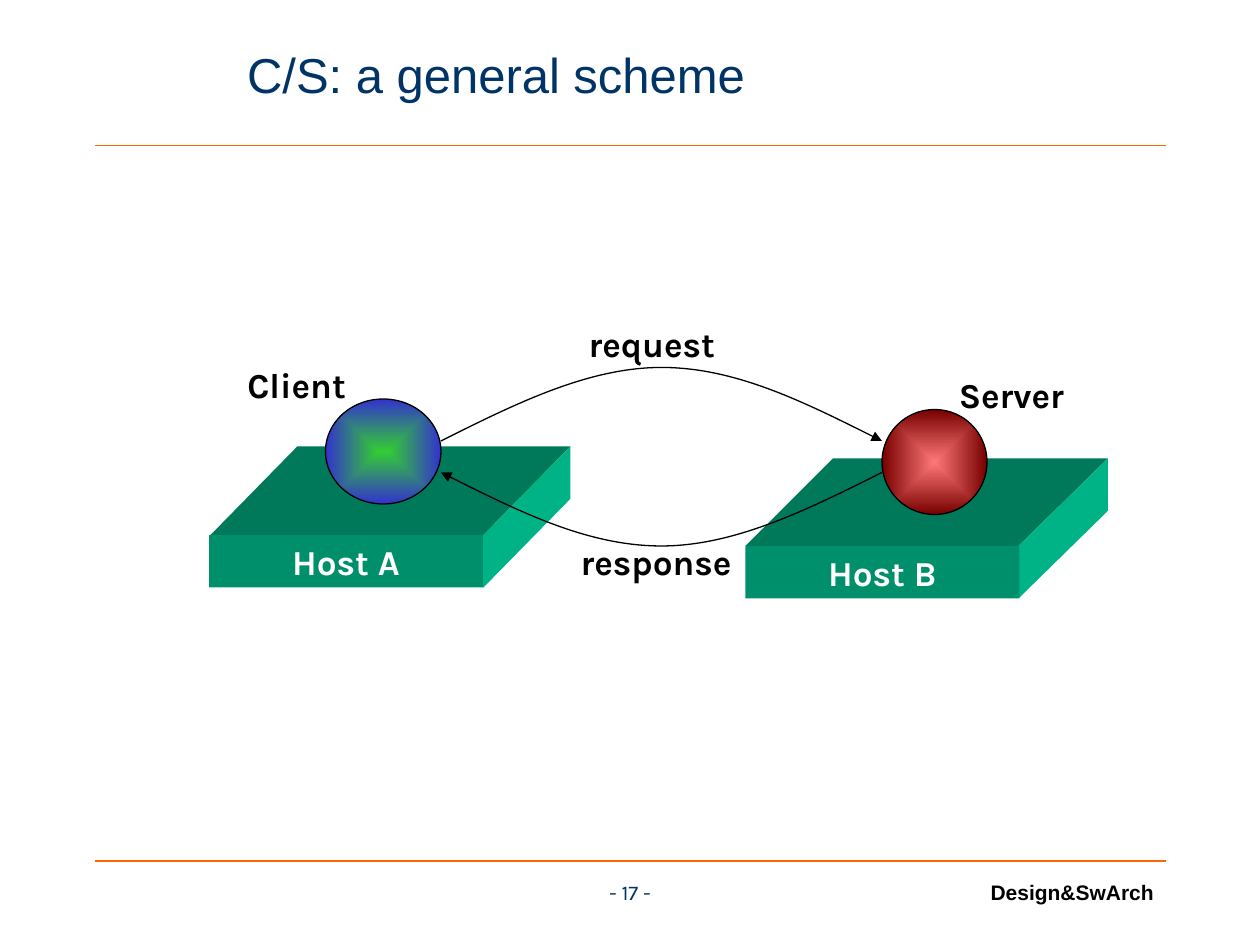
import dataclasses
import typing

import pptx
import pptx.dml.color
import pptx.enum.shapes
import pptx.enum.text
import pptx.oxml
import pptx.oxml.ns
import pptx.util

Pt = pptx.util.Pt
RGB = pptx.dml.color.RGBColor
Kind = pptx.enum.shapes.MSO_SHAPE
Align = pptx.enum.text.PP_ALIGN
Anchor = pptx.enum.text.MSO_ANCHOR

NAVY = RGB(0x00, 0x33, 0x66)
ORANGE = RGB(0xFF, 0x66, 0x00)
BLACK = RGB(0x00, 0x00, 0x00)
WHITE = RGB(0xFF, 0xFF, 0xFF)
FRONT = RGB(0x00, 0x8F, 0x6B)
TOP = RGB(0x00, 0x78, 0x5A)
SIDE = RGB(0x00, 0xB3, 0x86)
GREEN = RGB(0x33, 0xCC, 0x33)
BLUE = RGB(0x33, 0x33, 0xCC)
PINK = RGB(0xFF, 0x78, 0x78)
MAROON = RGB(0x78, 0x00, 0x00)

LABEL = {"name": "Karla", "size": Pt(20), "bold": True}
PAGE = {"name": "Karla", "size": Pt(12), "bold": False}
FOOT = {"name": "Arial", "size": Pt(12), "bold": True}
TITLE = {"name": "Arial", "size": Pt(28), "bold": False}

SLAB_W, SLAB_H, DEPTH = 156.5, 30, 50.5
NS = pptx.oxml.ns.nsdecls("a")
Point = tuple[float, float]


@dataclasses.dataclass
class Box:
    left: float
    top: float
    width: float
    height: float

    def pts(self) -> list[int]:
        return [Pt(v) for v in dataclasses.astuple(self)]


@dataclasses.dataclass
class Host:
    name: str
    left: float
    top: float


@dataclasses.dataclass
class Node:
    name: str
    ball: Box
    label: Box
    inner: RGB
    outer: RGB


@dataclasses.dataclass
class Call:
    name: str
    start: Point
    bend: float
    end: Point
    label: Box


HOSTS = [Host("Host A", 119.5, 305.75), Host("Host B", 426, 312)]
NODES = [
    Node("Client", Box(186, 228, 66, 60), Box(133, 204, 73, 31), GREEN, BLUE),
    Node("Server", Box(504, 234, 60, 60), Box(538, 210, 80, 31), PINK, MAROON),
]
CALLS = [
    Call("request", (252, 252), 210, (504, 252), Box(327, 181, 91, 31)),
    Call("response", (504, 270), 312, (252, 270), Box(322.5, 305.5, 105, 31)),
]


def write(shape: typing.Any, text: str, form: dict, color: RGB, align: Align) -> None:
    para = shape.text_frame.paragraphs[0]
    para.text = text
    para.alignment = align
    font = para.runs[0].font
    for key, value in form.items():
        setattr(font, key, value)
    font.color.rgb = color


def add_text(slide: typing.Any, box: Box, text: str, form: dict = LABEL,
             color: RGB = BLACK, align: Align = Align.CENTER) -> None:
    shape = slide.shapes.add_textbox(*box.pts())
    shape.text_frame.word_wrap = False
    write(shape, text, form, color, align)


def add_rule(slide: typing.Any, y: float) -> None:
    kind = pptx.enum.shapes.MSO_CONNECTOR.STRAIGHT
    rule = slide.shapes.add_connector(kind, Pt(54), Pt(y), Pt(666), Pt(y))
    rule.line.color.rgb = ORANGE
    rule.line.width = Pt(0.75)
    props = rule._element.spPr
    props.append(pptx.oxml.parse_xml(f"<a:effectLst {NS}/>"))


def outline(slide: typing.Any, spots: list[Point], close: bool) -> typing.Any:
    form = slide.shapes.build_freeform(*spots[0], scale=float(Pt(1)))
    form.add_line_segments(spots[1:], close=close)
    shape = form.convert_to_shape()
    shape.shadow.inherit = False
    return shape


def paint(shape: typing.Any, color: RGB) -> None:
    shape.fill.solid()
    shape.fill.fore_color.rgb = color
    shape.line.fill.background()


def add_host(slide: typing.Any, host: Host) -> None:
    x, y = host.left, host.top
    right, low = x + SLAB_W, y + SLAB_H
    back = [(right + DEPTH, y - DEPTH), (x + DEPTH, y - DEPTH)]
    paint(outline(slide, [(x, y), (right, y), *back], True), TOP)
    side = [(right, y), back[0], (right + DEPTH, low - DEPTH), (right, low)]
    paint(outline(slide, side, True), SIDE)
    box = Box(x, y, SLAB_W, SLAB_H)
    front = slide.shapes.add_shape(Kind.RECTANGLE, *box.pts())
    front.shadow.inherit = False
    paint(front, FRONT)
    front.text_frame.word_wrap = False
    front.text_frame.vertical_anchor = Anchor.MIDDLE
    write(front, host.name, LABEL, WHITE, Align.CENTER)


def add_node(slide: typing.Any, node: Node) -> None:
    ball = slide.shapes.add_shape(Kind.OVAL, *node.ball.pts())
    ball.shadow.inherit = False
    ball.line.color.rgb = BLACK
    ball.line.width = Pt(0.75)
    # Gradient running from the centre to the rim
    stops = "".join(f'<a:gs pos="{pos}"><a:srgbClr val="{color}"/></a:gs>'
                    for pos, color in ((0, node.inner), (100000, node.outer)))
    fill = pptx.oxml.parse_xml(
        f'<a:gradFill {NS} rotWithShape="1"><a:gsLst>{stops}</a:gsLst>'
        '<a:path path="shape"><a:fillToRect l="50000" t="50000" r="50000" b="50000"/>'
        "</a:path></a:gradFill>")
    ball._element.spPr.find(pptx.oxml.ns.qn("a:prstGeom")).addnext(fill)
    add_text(slide, node.label, node.name)


def add_call(slide: typing.Any, call: Call) -> None:
    (x1, y1), (x2, y2) = call.start, call.end
    step, mid = (x2 - x1) / 6, (y1 + call.bend) / 2
    heights = [y1, mid, call.bend, call.bend, call.bend, mid, y2]
    spots = [(x1 + i * step, y) for i, y in enumerate(heights)]
    curve = outline(slide, spots, False)
    curve.fill.background()
    curve.line.color.rgb = BLACK
    curve.line.width = Pt(0.75)
    # Each three points become one cubic curve
    legs = curve._element.xpath(".//a:lnTo")
    for i in range(0, len(legs), 3):
        cubic = pptx.oxml.parse_xml(f"<a:cubicBezTo {NS}/>")
        legs[i].addprevious(cubic)
        for leg in legs[i:i + 3]:
            cubic.append(leg[0])
            leg.getparent().remove(leg)
    tail = pptx.oxml.parse_xml(f'<a:tailEnd {NS} type="triangle"/>')
    curve._element.xpath("./p:spPr/a:ln")[0].append(tail)
    add_text(slide, call.label, call.name)


def main() -> None:
    deck = pptx.Presentation()
    deck.slide_width, deck.slide_height = Pt(720), Pt(540)
    slide = deck.slides.add_slide(deck.slide_layouts[5])

    # Rules, footer and title
    for y in (492, 83):
        add_rule(slide, y)
    add_text(slide, Box(402.5, 499, 264, 18), "Design&SwArch", FOOT, align=Align.RIGHT)
    add_text(slide, Box(322, 499, 76, 18), "- 17 -", PAGE, NAVY)
    title = slide.shapes.title
    title.left, title.top, title.width, title.height = Box(134, 9.5, 447, 66).pts()
    title.text_frame.vertical_anchor = Anchor.MIDDLE
    write(title, "C/S: a general scheme", TITLE, NAVY, Align.LEFT)

    # Hosts, then the processes on them and their messages
    for host in HOSTS:
        add_host(slide, host)
    for node in NODES:
        add_node(slide, node)
    for call in CALLS:
        add_call(slide, call)

    deck.save("out.pptx")


if __name__ == "__main__":
    main()
